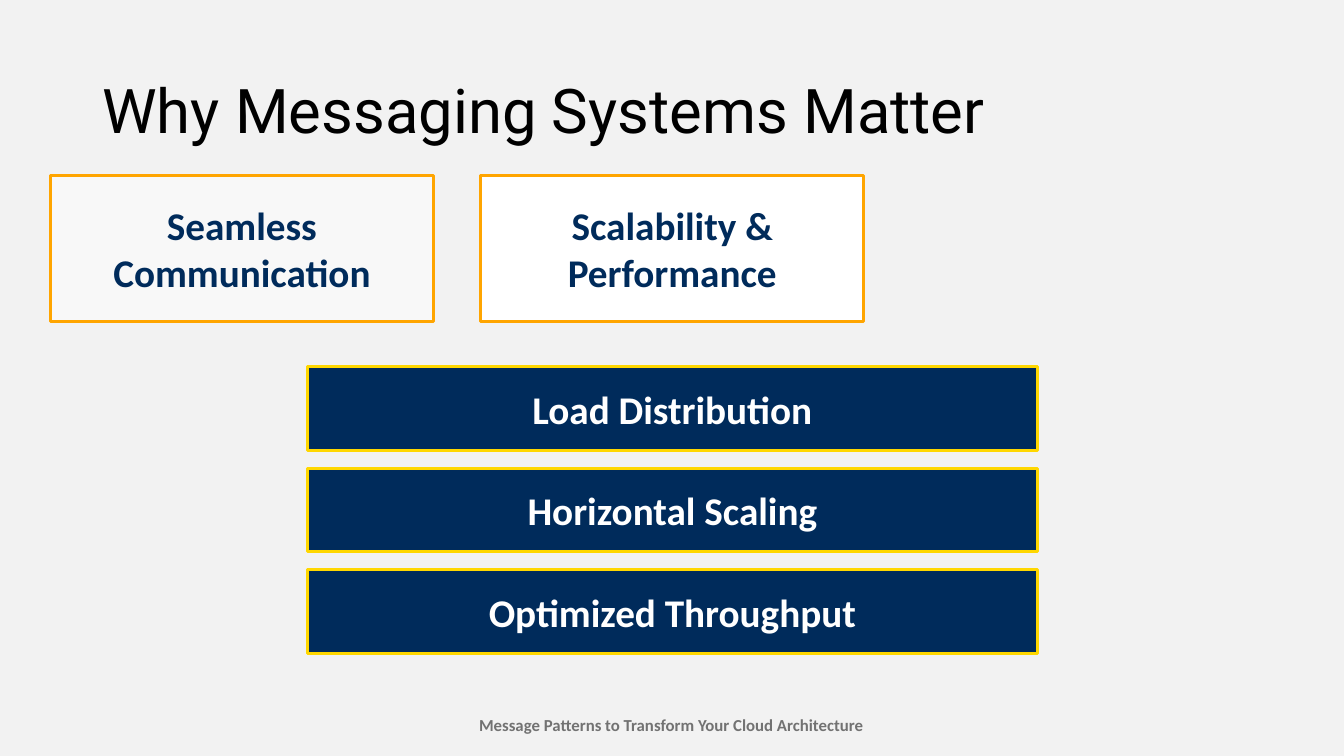
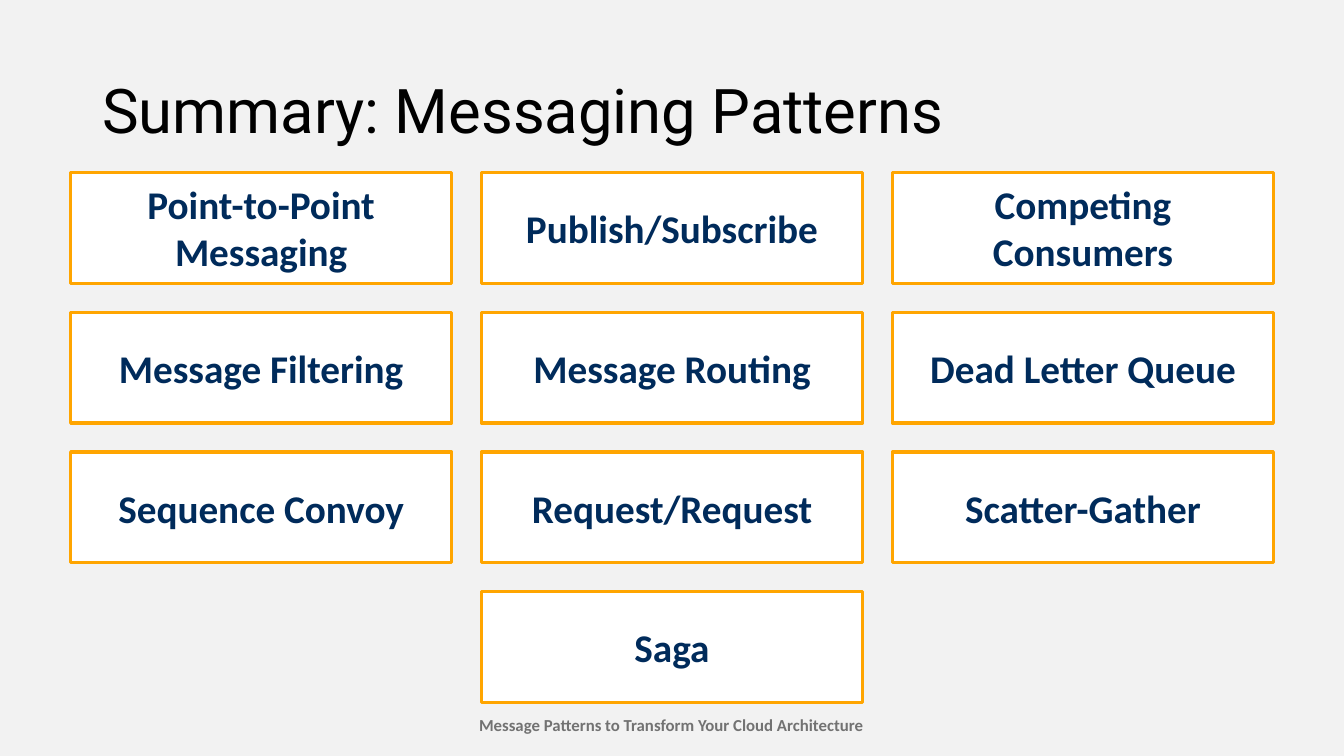
from lxml import etree
from pptx import Presentation
from pptx.dml.color import RGBColor
from pptx.enum.shapes import MSO_SHAPE
from pptx.enum.text import MSO_ANCHOR, MSO_AUTO_SIZE, PP_ALIGN
from pptx.oxml.ns import qn
from pptx.util import Pt

RECTANGLE = MSO_SHAPE.RECTANGLE
MIDDLE = MSO_ANCHOR.MIDDLE
LEFT, CENTER = PP_ALIGN.LEFT, PP_ALIGN.CENTER
FIT_SHAPE = MSO_AUTO_SIZE.SHAPE_TO_FIT_TEXT

COLORS = {
    "background": "F2F2F2",
    "title": "000000",
    "footer": "727272",
    "navy": "002B5B",
    "white": "FFFFFF",
    "orange": "FFA500",
    "gold": "FFD700",
}
TITLE_FONT = "Roboto"
BODY_FONT = "Calibri"
FOOTER = "Message Patterns to Transform Your Cloud Architecture"

BENEFITS = ["Seamless Communication", "Scalability & Performance"]
SCALING_MEANS = ["Load Distribution", "Horizontal Scaling", "Optimized Throughput"]
PATTERN_ROWS = [
    ["Point-to-Point Messaging", "Publish/Subscribe", "Competing Consumers"],
    ["Message Filtering", "Message Routing", "Dead Letter Queue"],
    ["Sequence Convoy", "Request/Request", "Scatter-Gather"],
    [None, "Saga", None],
]


def rgb(name):
    return RGBColor.from_string(COLORS[name])


def write(frame, text, size, color, font=BODY_FONT, bold=True, align=CENTER):
    frame.text = text
    para = frame.paragraphs[0]
    para.alignment = align
    for span in para.runs:
        span.font.name = font
        span.font.size = Pt(size)
        span.font.bold = bold
        span.font.color.rgb = rgb(color)
    return para


def add_text(page, left, top, width, height):
    box = page.shapes.add_textbox(Pt(left), Pt(top), Pt(width), Pt(height))
    return box.text_frame


def add_title(page, text):
    frame = add_text(page, 66, 28.8, 828, 104.4)
    frame.word_wrap = True
    frame.vertical_anchor = MIDDLE
    para = write(frame, text, 44, "title", TITLE_FONT, False, LEFT)
    para.line_spacing = 0.9


def add_footer(page):
    frame = add_text(page, 333.4, 506.9, 292.3, 21.6)
    frame.word_wrap = False
    frame.auto_size = FIT_SHAPE
    write(frame, FOOTER, 12, "footer")


def add_page(deck, title):
    page = deck.slides.add_slide(deck.slide_layouts[6])
    add_footer(page)
    add_title(page, title)
    return page


def add_box(page, text, left, top, width, height, fill, line, color):
    box = page.shapes.add_shape(RECTANGLE, Pt(left), Pt(top), Pt(width), Pt(height))
    box.shadow.inherit = False
    box.fill.solid()
    box.fill.fore_color.rgb = rgb(fill)
    box.line.color.rgb = rgb(line)
    box.line.width = Pt(2.25)
    box.text_frame.word_wrap = True
    box.text_frame.vertical_anchor = MIDDLE
    write(box.text_frame, text, 28, color)
    return box


def add_card(page, text, left, top, width, height):
    return add_box(page, text, left, top, width, height, "white", "orange", "navy")


def add_bar(page, text, left, top, width, height):
    return add_box(page, text, left, top, width, height, "navy", "gold", "white")


def set_opacity(shape, percent):
    fill_color = shape.fill._xPr.find(qn("a:solidFill"))[0]
    etree.SubElement(fill_color, qn("a:alpha")).set("val", str(percent * 1000))


def build_benefits(deck):
    page = add_page(deck, "Why Messaging Systems Matter")
    cards = [
        add_card(page, text, 36 + column * 307.4, 125.3, 273.6, 104.4)
        for column, text in enumerate(BENEFITS)
    ]
    set_opacity(cards[0], 50)
    for row, text in enumerate(SCALING_MEANS):
        add_bar(page, text, 219.6, 262 + row * 72.4, 521.3, 59.8)


def build_summary(deck):
    page = add_page(deck, "Summary: Messaging Patterns")
    for row, patterns in enumerate(PATTERN_ROWS):
        for column, text in enumerate(patterns):
            if text:
                add_card(page, text, 50.4 + column * 293.5, 123.1 + row * 99.9, 272.2, 79.2)


def main():
    deck = Presentation()
    deck.slide_width, deck.slide_height = Pt(960), Pt(540)
    background = deck.slide_master.background.fill
    background.solid()
    background.fore_color.rgb = rgb("background")
    build_benefits(deck)
    build_summary(deck)
    deck.save("out.pptx")


if __name__ == "__main__":
    main()
